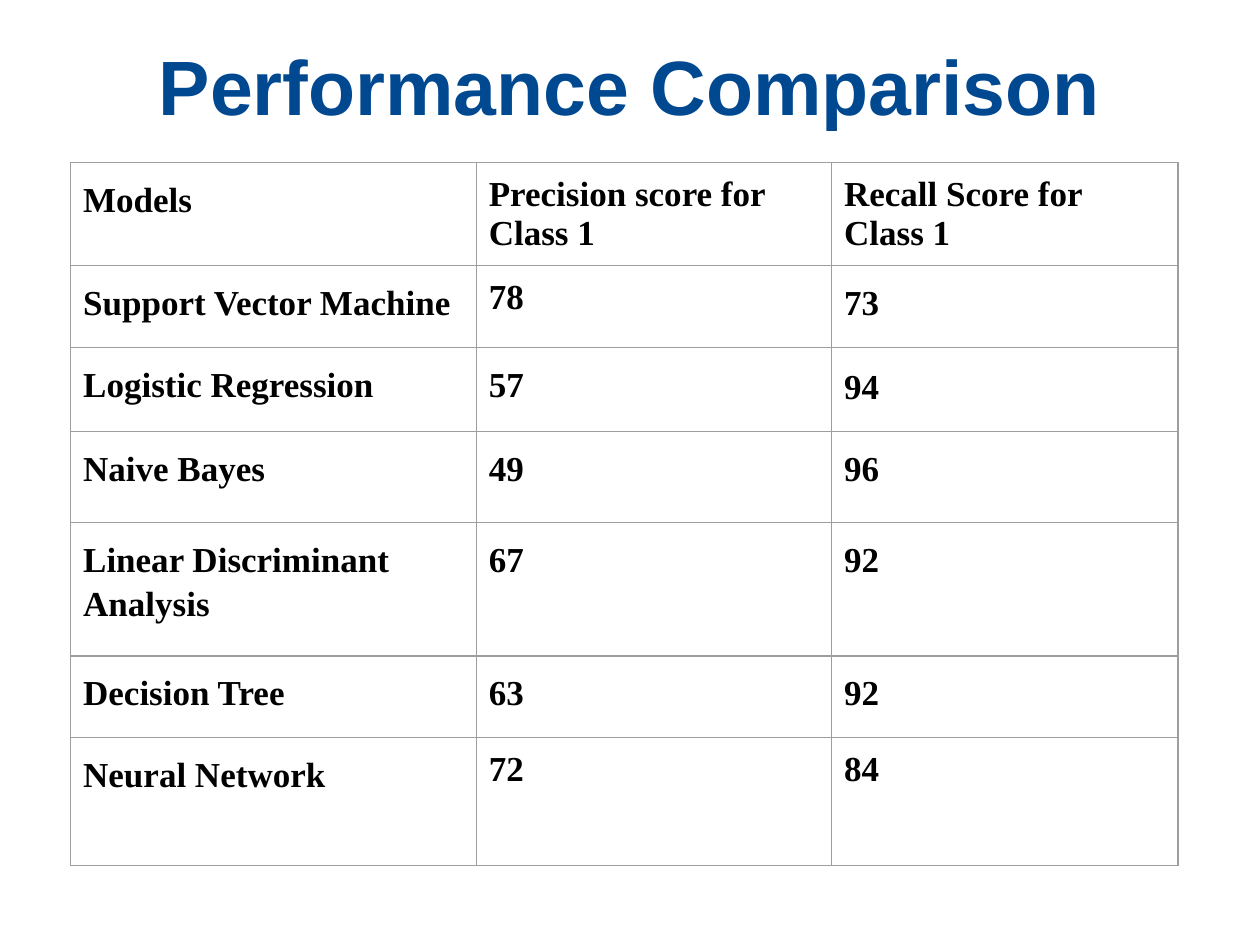
from dataclasses import dataclass

from lxml.etree import SubElement
from pptx import Presentation
from pptx.dml.color import RGBColor as RGB
from pptx.enum.text import MSO_ANCHOR as Anchor, PP_ALIGN as Align
from pptx.oxml.ns import qn
from pptx.util import Inches, Pt

COLORS = {"title": "004890", "text": "000000", "line": "9E9E9E", "back": "FFFFFF"}
WIDE = 1.15  # usual line spacing in the table
COLS = [3.22, 2.82, 2.75]


@dataclass
class Row:
    height: float
    texts: tuple[str, str, str]
    gaps: tuple[float | None, ...] = (WIDE, WIDE, WIDE)


ROWS = [
    Row(0.65, ("Models", "Precision score for Class 1", "Recall Score for Class 1"),
        (WIDE, None, None)),
    Row(0.65, ("Support Vector Machine", "78", "73"), (WIDE, None, WIDE)),
    Row(0.67, ("Logistic Regression", "57", "94"), (WIDE, WIDE, 1.21)),
    Row(0.72, ("Naive Bayes", "49", "96")),
    Row(1.06, ("Linear Discriminant Analysis", "67", "92")),
    Row(0.65, ("Decision Tree", "63", "92")),
    Row(1.01, ("Neural Network", "72", "84"), (WIDE, None, None)),
]


def set_font(para, name: str, size: int, color: str) -> None:
    font = para.font
    font.name, font.size, font.bold = name, Pt(size), True
    font.color.rgb = RGB.from_string(COLORS[color])


def set_pad(box, pad: float) -> None:
    box.margin_left = box.margin_right = Inches(pad)
    box.margin_top = box.margin_bottom = Inches(pad)


def add_edges(cell) -> None:
    props = cell._tc.get_or_add_tcPr()
    for i, side in enumerate(("lnL", "lnR", "lnT", "lnB")):
        line = props.makeelement(qn(f"a:{side}"), {"w": str(Pt(0.75))})
        fill = SubElement(line, qn("a:solidFill"))
        SubElement(fill, qn("a:srgbClr"), val=COLORS["line"])
        props.insert(i, line)  # edges must come before the fill


def draw_cell(cell, text: str, gap: float | None) -> None:
    cell.text = text
    cell.vertical_anchor = Anchor.TOP
    set_pad(cell, 0.1)
    cell.fill.background()
    add_edges(cell)
    para = cell.text_frame.paragraphs[0]
    set_font(para, "Times New Roman", 20, "text")
    if gap:
        para.line_spacing = gap


def draw_title(title, text: str) -> None:
    title.left, title.top = Inches(0.5), Inches(0.05)
    title.width, title.height = Inches(9), Inches(1.25)
    frame = title.text_frame
    frame.text = text
    frame.word_wrap = True
    frame.vertical_anchor = Anchor.MIDDLE
    set_pad(frame, 0.05)
    para = frame.paragraphs[0]
    para.alignment = Align.CENTER
    set_font(para, "Arial", 44, "title")


def draw_table(slide, rows: list[Row]) -> None:
    table = slide.shapes.add_table(
        len(rows), len(COLS), Inches(0.56), Inches(1.29),
        Inches(sum(COLS)), Inches(sum(row.height for row in rows))).table
    table.first_row = table.horz_banding = False
    for col, width in zip(table.columns, COLS):
        col.width = Inches(width)
    for r, row in enumerate(rows):
        table.rows[r].height = Inches(row.height)
        for c, (text, gap) in enumerate(zip(row.texts, row.gaps)):
            draw_cell(table.cell(r, c), text, gap)


def main() -> None:
    deck = Presentation()
    deck.slide_width, deck.slide_height = Inches(10), Inches(7.5)
    slide = deck.slides.add_slide(deck.slide_layouts[5])
    back = slide.background.fill
    back.solid()
    back.fore_color.rgb = RGB.from_string(COLORS["back"])

    draw_title(slide.shapes.title, "Performance Comparison")
    draw_table(slide, ROWS)
    deck.save("out.pptx")


if __name__ == "__main__":
    main()
